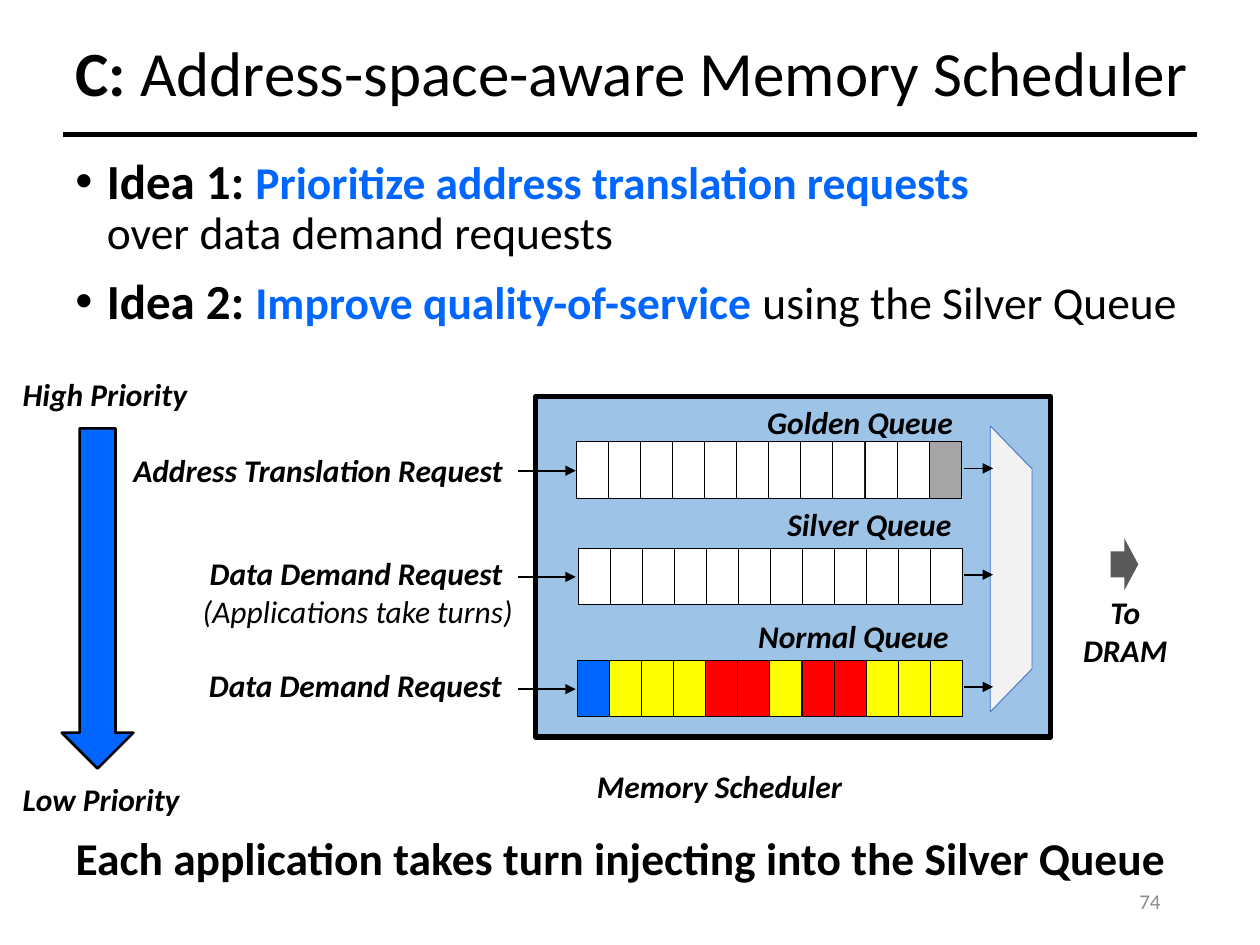
from dataclasses import dataclass
from typing import NamedTuple, Optional

from lxml.etree import SubElement
from pptx import Presentation
from pptx.dml.color import RGBColor
from pptx.enum.shapes import MSO_CONNECTOR as Connector, MSO_SHAPE as Shape
from pptx.enum.text import MSO_ANCHOR as Anchor, MSO_AUTO_SIZE as AutoSize, PP_ALIGN as Align
from pptx.oxml.ns import qn
from pptx.util import Pt


@dataclass(frozen=True)
class Theme:
    font: str = "Calibri"
    black: str = "000000"
    white: str = "FFFFFF"
    blue: str = "0066FF"
    yellow: str = "FFFF00"
    red: str = "FF0000"
    gray: str = "A5A5A5"
    panel: str = "9DC3E6"
    selector: str = "F2F2F2"
    selector_edge: str = "4472C4"
    output: str = "595959"
    number: str = "8C8C8C"
    title_size: float = 36
    idea_size: float = 28
    body_size: float = 26
    label_size: float = 18
    number_size: float = 12


THEME = Theme()
CELL_WIDTH, CELL_HEIGHT = 18.3, 32.4


class Box(NamedTuple):
    left: float
    top: float
    width: float
    height: float


class Run(NamedTuple):
    text: str
    size: float = THEME.label_size
    color: str = THEME.black
    bold: bool = True
    italic: bool = False


class Line(NamedTuple):
    runs: list[Run]
    align: Align = Align.LEFT
    indent: float = 0
    bullet: bool = False
    spacing: Optional[float] = None
    before: float = 0


class Queue(NamedTuple):
    name: str
    name_box: Box
    left: float
    top: float
    cells: list[str]
    request_box: Box
    request: list[Line]


def label(text: str, bold: bool = True, align: Align = Align.LEFT, indent: float = 0) -> Line:
    return Line([Run(text, bold=bold, italic=True)], align, indent)


def add_text(slide, box: Box, lines: list[Line], wrap: bool = True, anchor: Anchor = Anchor.TOP) -> None:
    frame = slide.shapes.add_textbox(*map(Pt, box)).text_frame
    frame.word_wrap = wrap
    frame.auto_size = AutoSize.NONE if wrap else AutoSize.SHAPE_TO_FIT_TEXT
    frame.vertical_anchor = anchor
    for index, line in enumerate(lines):
        paragraph = frame.add_paragraph() if index else frame.paragraphs[0]
        paragraph.alignment = line.align
        paragraph.space_before = Pt(line.before)
        if line.spacing:
            paragraph.line_spacing = line.spacing
        properties = paragraph._p.get_or_add_pPr()
        properties.set("marL", str(Pt(line.indent)))
        if line.bullet:
            properties.set("indent", str(-Pt(line.indent)))
            SubElement(properties, qn("a:buFont")).set("typeface", "Arial")
            SubElement(properties, qn("a:buChar")).set("char", "•")
        paragraph.font.name = THEME.font
        for item in line.runs:
            if item.text == "\n":
                paragraph.add_line_break()
                continue
            run = paragraph.add_run()
            run.text = item.text
            run.font.name = THEME.font
            run.font.size = Pt(item.size)
            run.font.bold = item.bold
            run.font.italic = item.italic
            run.font.color.rgb = RGBColor.from_string(item.color)


def add_shape(slide, kind: Shape, box: Box, fill: str, edge: Optional[str] = None,
              weight: float = 0.5, rotation: float = 0, adjustment: Optional[float] = None) -> None:
    shape = slide.shapes.add_shape(kind, *map(Pt, box))
    shape.shadow.inherit = False
    shape.rotation = rotation
    if adjustment is not None:
        shape.adjustments[0] = adjustment
    shape.fill.solid()
    shape.fill.fore_color.rgb = RGBColor.from_string(fill)
    if edge:
        shape.line.color.rgb = RGBColor.from_string(edge)
        shape.line.width = Pt(weight)
    else:
        shape.line.fill.background()


def add_line(slide, left: float, right: float, y: float, weight: float = 1, arrow: bool = True) -> None:
    connector = slide.shapes.add_connector(Connector.STRAIGHT, Pt(left), Pt(y), Pt(right), Pt(y))
    connector.line.color.rgb = RGBColor.from_string(THEME.black)
    connector.line.width = Pt(weight)
    if arrow:
        SubElement(connector.line._get_or_add_ln(), qn("a:tailEnd")).set("type", "triangle")
    SubElement(connector._element.spPr, qn("a:effectLst"))


def add_queue(slide, queue: Queue) -> None:
    for index, color in enumerate(queue.cells):
        cell = Box(queue.left + index * CELL_WIDTH, queue.top, CELL_WIDTH, CELL_HEIGHT)
        add_shape(slide, Shape.RECTANGLE, cell, color, THEME.black)
    add_text(slide, queue.name_box, [label(queue.name)], wrap=False)
    add_line(slide, 296, 329, queue.top + 16.5)
    add_line(slide, 550.6, 567.5, queue.top + 15.2)
    add_text(slide, queue.request_box, queue.request, wrap=len(queue.request) > 1)


def idea(name: str, runs: list[Run], before: float = 0) -> Line:
    return Line([Run(name, THEME.idea_size), *runs], indent=18, bullet=True, spacing=0.9, before=before)


def main() -> None:
    presentation = Presentation()
    presentation.slide_width, presentation.slide_height = Pt(720), Pt(540)
    slide = presentation.slides.add_slide(presentation.slide_layouts[6])

    title = Line([Run("C: ", THEME.title_size),
                  Run("Address-space-aware Memory Scheduler", THEME.title_size, bold=False)], spacing=0.9)
    add_text(slide, Box(36, 10, 676, 67), [title], anchor=Anchor.MIDDLE)
    add_line(slide, 36, 684, 77, weight=3, arrow=False)
    number = Line([Run("74", THEME.number_size, THEME.number, bold=False)], Align.RIGHT)
    add_text(slide, Box(508.3, 500.4, 162, 28.8), [number], anchor=Anchor.MIDDLE)

    size = THEME.body_size
    add_text(slide, Box(36, 86.4, 684, 434), [
        idea("Idea 1: ", [Run("Prioritize address translation requests", size, THEME.blue), Run("\n"),
                          Run("over data demand requests", size, bold=False)]),
        idea("Idea 2: ", [Run("Improve quality-of-service", size, THEME.blue),
                          Run(" using the Silver Queue", size, bold=False)], before=10),
    ])

    add_shape(slide, Shape.RECTANGLE, Box(306, 226.8, 294.5, 194.4), THEME.panel, THEME.black, 3)
    add_shape(slide, Shape.DOWN_ARROW, Box(627.8, 314.6, 29.5, 15.8), THEME.output, rotation=270)
    add_text(slide, Box(600.5, 335.5, 85, 41.8),
             [label("To", align=Align.CENTER), label("DRAM", align=Align.CENTER)])
    add_shape(slide, Shape.TRAPEZOID, Box(496.1, 313.2, 163.4, 23.8), THEME.selector,
              THEME.selector_edge, rotation=90, adjustment=1.03)
    add_text(slide, Box(334, 434.9, 160.6, 23.8), [label("Memory Scheduler")], wrap=False)

    white, yellow, red = [THEME.white], [THEME.yellow], [THEME.red]
    normal_cells = [THEME.blue] + yellow * 3 + red * 2 + yellow + red * 2 + yellow * 3
    queues = [
        Queue("Golden Queue", Box(431.3, 226.8, 121.7, 28.8), 329.6, 252.5, white * 11 + [THEME.gray],
              Box(69.1, 254.2, 228.2, 28.8), [label("Address Translation Request")]),
        Queue("Silver Queue", Box(442.8, 285.1, 109.4, 28.8), 330.5, 313.2, white * 12,
              Box(96.5, 313.2, 208, 51.1),
              [label("Data Demand Request", indent=16.3),
               label("(Applications take turns)", bold=False, indent=12.3)]),
        Queue("Normal Queue", Box(426.2, 349.2, 124.6, 28.8), 330.2, 377.3, normal_cells,
              Box(112.3, 377.3, 183.6, 28.8), [label("Data Demand Request")]),
    ]
    for queue in queues:
        add_queue(slide, queue)

    add_shape(slide, Shape.DOWN_ARROW, Box(35.3, 244.8, 41, 194.4), THEME.blue, THEME.black, 1.5)
    add_text(slide, Box(5.8, 211, 109.4, 28.8), [label("High Priority")], wrap=False)
    add_text(slide, Box(5.8, 442.1, 105.1, 28.8), [label("Low Priority")], wrap=False)
    summary = Line([Run("Each application takes turn injecting into the Silver Queue", size)], Align.CENTER)
    add_text(slide, Box(31, 463.7, 648, 51.8), [summary], anchor=Anchor.MIDDLE)

    presentation.save("out.pptx")


if __name__ == "__main__":
    main()
